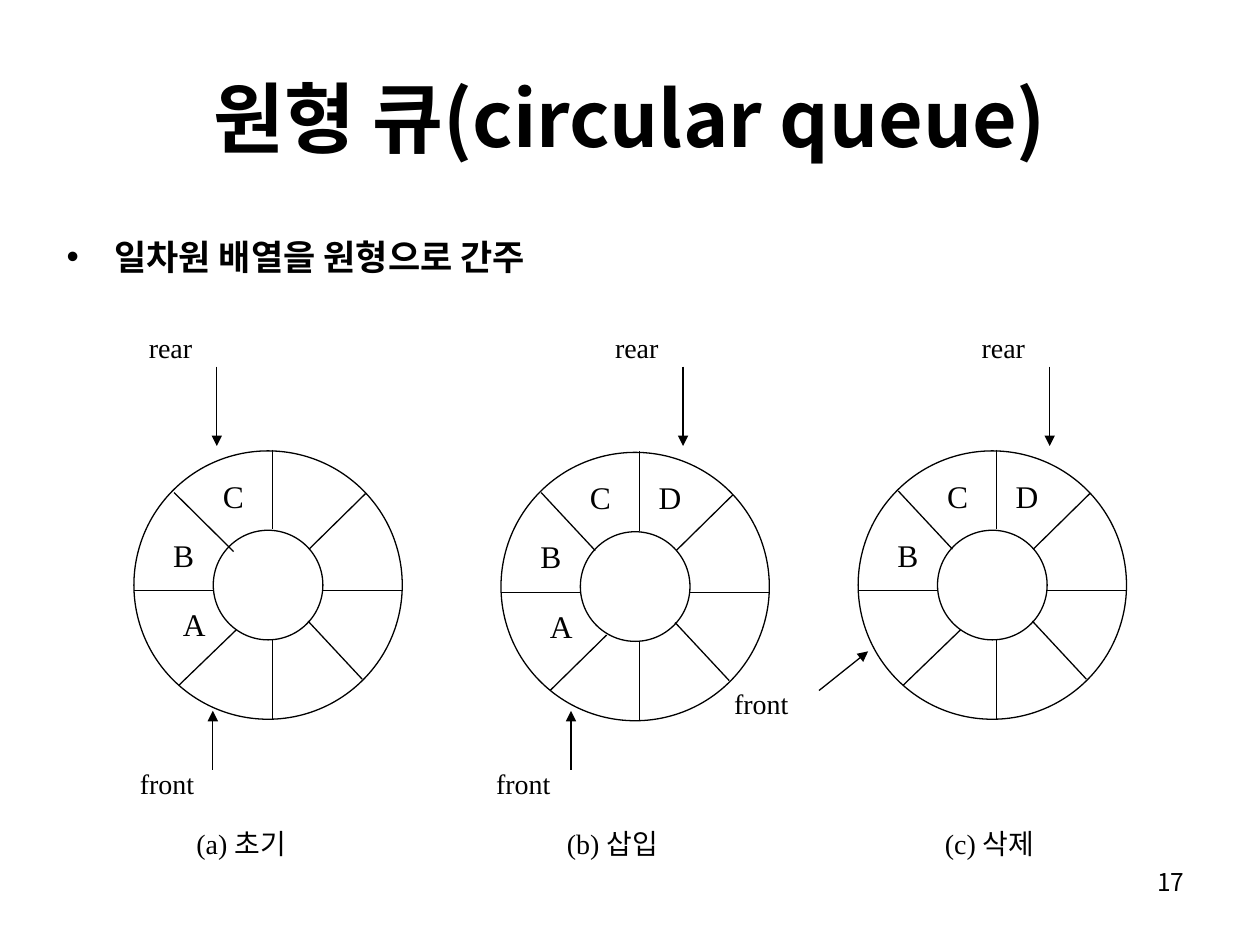
from lxml.etree import SubElement
from pptx import Presentation
from pptx.dml.color import RGBColor
from pptx.enum.shapes import MSO_CONNECTOR, MSO_SHAPE
from pptx.enum.text import MSO_ANCHOR, MSO_AUTO_SIZE, PP_ALIGN
from pptx.oxml.ns import qn
from pptx.util import Cm, Pt

BLACK = RGBColor(0, 0, 0)
SANS = "Noto Sans CJK KR"
SERIF = "Times New Roman"

RING_SIZE = 5.41
HOLE_SIZE = 2.21
SPOKES = [
    (2.79, -0.02, 2.79, 1.58),
    (2.79, 3.81, 2.79, 5.41),
    (0, 2.82, 1.6, 2.82),
    (3.81, 2.82, 5.41, 2.82),
    (3.51, 3.43, 4.6, 4.6),
    (4.67, 0.86, 3.53, 1.98),
]
SLOTS = {"A": (0.81, 3), "B": (0.6, 1.6), "C": (1.6, 0.41), "D": (3, 0.41)}
LOWER_LEFT = (2.06, 3.61, 0.91, 4.72)
UPPER_LEFT = (0.81, 0.81, 1.9, 1.98)
RINGS = [
    (2.7, 9.09, "ABC", LOWER_LEFT, (0.81, 0.84, 2.01, 2.03)),
    (10.1, 9.12, "ABCD", (2.13, 3.68, 0.99, 4.8), UPPER_LEFT),
    (17.3, 9.09, "BCD", LOWER_LEFT, UPPER_LEFT),
]
REAR_ARROWS = [4.37, 13.77, 21.16]
FRONT_ARROWS = [
    (4.29, 15.52, 4.29, 14.33),
    (11.51, 15.52, 11.51, 14.33),
    (16.51, 13.92, 17.5, 13.13),
]
FRONT_LABELS = [(2.57, 15.32), (9.75, 15.32), (14.55, 13.72)]
CAPTIONS = [(3.71, "(a) 초기"), (11.18, "(b) 삽입"), (18.8, "(c) 삭제")]


def add_span(para, text, size, font, bold=False):
    span = para.add_run()
    span.text = text
    span.font.size = Pt(size)
    span.font.name = font
    span.font.bold = bold
    span.font.color.rgb = BLACK
    SubElement(span.font._element, qn("a:ea"), typeface=SANS)


def place(shape, left, top, width, height):
    shape.left, shape.top = Cm(left), Cm(top)
    shape.width, shape.height = Cm(width), Cm(height)


def fill_title(title, text):
    place(title, 1.27, 0.76, 22.86, 3.18)
    frame = title.text_frame
    frame.auto_size = MSO_AUTO_SIZE.NONE
    frame.vertical_anchor = MSO_ANCHOR.MIDDLE
    para = frame.paragraphs[0]
    para.alignment = PP_ALIGN.CENTER
    add_span(para, text, 44, SANS, bold=True)


def fill_body(body, text):
    place(body, 1.09, 4.75, 22.63, 12.06)
    frame = body.text_frame
    frame.auto_size = MSO_AUTO_SIZE.NONE
    frame.vertical_anchor = MSO_ANCHOR.TOP
    frame.margin_top = 0
    para = frame.paragraphs[0]
    properties = para._p.get_or_add_pPr()
    properties.set("marL", str(Cm(0.96)))
    properties.set("indent", str(-Cm(0.96)))
    SubElement(properties, qn("a:buChar"), char="•")
    para.space_before = Pt(0)
    add_span(para, text, 20, SANS, bold=True)


def add_label(page, left, top, width, text, size=16, font=SERIF,
              align=PP_ALIGN.LEFT):
    box = page.shapes.add_textbox(Cm(left), Cm(top), Cm(width), Cm(0.94))
    box.text_frame.word_wrap = True
    para = box.text_frame.paragraphs[0]
    para.alignment = align
    add_span(para, text, size, font)


def add_letter(page, left, top, letter):
    box = page.shapes.add_textbox(Cm(left), Cm(top), Cm(0.81), Cm(0.99))
    frame = box.text_frame
    frame.word_wrap = True
    frame.margin_left = frame.margin_right = 0
    frame.vertical_anchor = MSO_ANCHOR.MIDDLE
    para = frame.paragraphs[0]
    para.alignment = PP_ALIGN.CENTER
    add_span(para, letter, 18, SERIF)


def add_circle(page, left, top, size):
    circle = page.shapes.add_shape(
        MSO_SHAPE.OVAL, Cm(left), Cm(top), Cm(size), Cm(size))
    circle.shadow.inherit = False
    circle.fill.background()
    circle.line.color.rgb = BLACK
    circle.line.width = Pt(0.75)


def add_line(page, x1, y1, x2, y2, arrow=False):
    line = page.shapes.add_connector(
        MSO_CONNECTOR.STRAIGHT, Cm(x1), Cm(y1), Cm(x2), Cm(y2))
    line.line.color.rgb = BLACK
    line.line.width = Pt(0.75)
    if arrow:
        SubElement(line.line._get_or_add_ln(), qn("a:tailEnd"), type="triangle")
    SubElement(line._element.spPr, qn("a:effectLst"))


def add_ring(page, left, top, letters, lower_left, upper_left):
    add_circle(page, left, top, RING_SIZE)
    inset = (RING_SIZE - HOLE_SIZE) / 2
    add_circle(page, left + inset, top + inset, HOLE_SIZE)
    for x1, y1, x2, y2 in [*SPOKES, lower_left, upper_left]:
        add_line(page, left + x1, top + y1, left + x2, top + y2)
    for letter in letters:
        x, y = SLOTS[letter]
        add_letter(page, left + x, top + y, letter)


def main():
    deck = Presentation()
    deck.slide_width, deck.slide_height = Cm(25.4), Cm(19.05)
    page = deck.slides.add_slide(deck.slide_layouts[1])
    fill_title(page.shapes.title, "원형 큐(circular queue)")
    fill_body(page.placeholders[1], "일차원 배열을 원형으로 간주")
    for ring in RINGS:
        add_ring(page, *ring)
    for x in REAR_ARROWS:
        add_line(page, x, 7.39, x, 8.99, arrow=True)
        add_label(page, x - 1.62, 6.53, 3.28, "rear")
    for arrow, (left, top) in zip(FRONT_ARROWS, FRONT_LABELS):
        add_line(page, *arrow, arrow=True)
        add_label(page, left, top, 3.5, "front")
    for left, text in CAPTIONS:
        add_label(page, left, 16.54, 4.22, text)
    add_label(page, 18.21, 17.35, 5.92, "17", 14, SANS, PP_ALIGN.RIGHT)
    deck.save("out.pptx")


if __name__ == "__main__":
    main()
